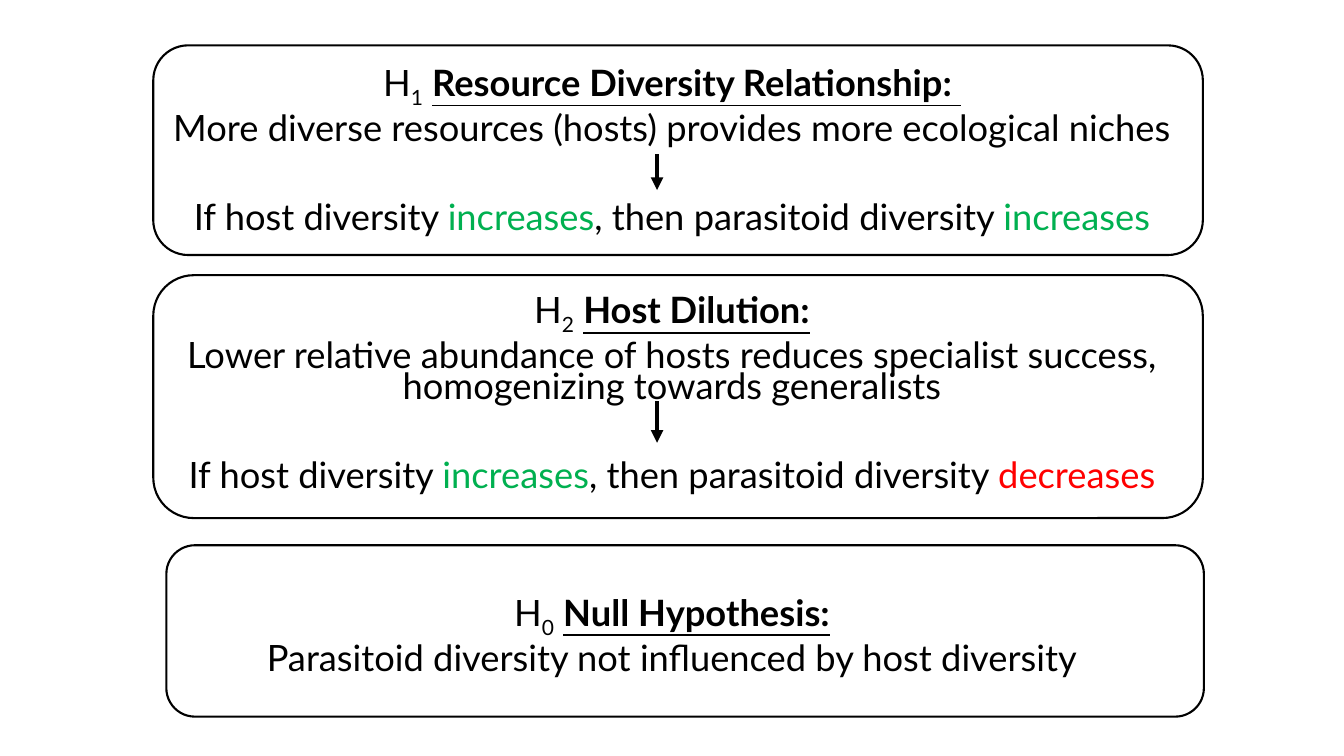
from dataclasses import dataclass

import pptx
import pptx.dml.color
import pptx.enum.shapes
import pptx.enum.text
import pptx.oxml
import pptx.oxml.ns
import pptx.util


@dataclass(frozen=True)
class Theme:
    """Colours, font and type sizes of the slide."""
    black: str = "000000"
    green: str = "00B050"
    red: str = "FF0000"
    font: str = "Lato"
    size: float = 25.9
    line_spacing: float = 0.7
    space_before: float = 10
    gap: float = 32
    outline: float = 1.5
    arrow: float = 3


THEME = Theme()
SLIDE_SIZE = (13.33, 7.5)
BODY_BOX = (0.76, 0.63, 11.81, 6.34)
ARROW_X, ARROW_START, ARROW_END = 0.48, 0.52, 0.69

HYPOTHESES = [
    {
        "box": (1.52, 0.45, 10.41, 2.08),
        "gaps": 0,
        "number": "1",
        "name": "Resource Diversity Relationship: ",
        "reason": "More diverse resources (hosts) provides more ecological niches",
        "outcome": ("increases", THEME.green),
    },
    {
        "box": (1.52, 2.73, 10.41, 2.41),
        "gaps": 1,
        "number": "2",
        "name": "Host Dilution:",
        "reason": "Lower relative abundance of hosts reduces specialist success, "
                  "homogenizing towards generalists",
        "outcome": ("decreases", THEME.red),
    },
    {
        "box": (1.65, 5.41, 10.29, 1.7),
        "gaps": 2,
        "number": "0",
        "name": "Null Hypothesis:",
        "reason": "Parasitoid diversity not influenced by host diversity",
        "outcome": None,
    },
]


def inches(values):
    """Turn numbers into lengths in inches."""
    return [pptx.util.Inches(value) for value in values]


def rgb(colour):
    """Turn a hexadecimal string into a colour."""
    return pptx.dml.color.RGBColor.from_string(colour)


def add_element(parent, tag, **attributes):
    """Append a DrawingML element to a parent."""
    element = pptx.oxml.parse_xml(f"<a:{tag} {pptx.oxml.ns.nsdecls('a')}/>")
    for name, value in attributes.items():
        element.set(name, value)
    parent.append(element)


def add_run(paragraph, text, colour=THEME.black, heading=False, subscript=False):
    """Add one formatted run to a paragraph."""
    run = paragraph.add_run()
    run.text = text
    run.font.name = THEME.font
    run.font.size = pptx.util.Pt(THEME.size)
    run.font.color.rgb = rgb(colour)
    run.font.bold = heading
    run.font.underline = heading
    if subscript:
        run._r.get_or_add_rPr().set("baseline", "-25000")


def add_paragraph(frame, gaps=0):
    """Add a centred paragraph without bullet after a number of line gaps."""
    first = frame.paragraphs[0]
    paragraph = frame.add_paragraph() if first.runs else first
    paragraph.alignment = pptx.enum.text.PP_ALIGN.CENTER
    paragraph.line_spacing = THEME.line_spacing
    paragraph.space_before = pptx.util.Pt(THEME.space_before + gaps * THEME.gap)
    properties = paragraph._p.get_or_add_pPr()
    properties.set("marL", "0")
    properties.set("indent", "0")
    add_element(properties, "buNone")
    return paragraph


def write_hypothesis(frame, hypothesis):
    """Write the heading, reason and prediction of one hypothesis."""
    heading = add_paragraph(frame, hypothesis["gaps"])
    add_run(heading, "H")
    add_run(heading, hypothesis["number"], subscript=True)
    add_run(heading, " ")
    add_run(heading, hypothesis["name"], heading=True)
    add_run(add_paragraph(frame), hypothesis["reason"])
    if hypothesis["outcome"]:
        prediction = add_paragraph(frame, 1)
        add_run(prediction, "If host diversity ")
        add_run(prediction, "increases", THEME.green)
        add_run(prediction, ", then parasitoid diversity ")
        add_run(prediction, *hypothesis["outcome"])


def add_arrow(slide, box):
    """Draw the downward arrow inside a hypothesis box."""
    left, top, width, height = box
    x = left + ARROW_X * width
    ends = inches((x, top + ARROW_START * height, x, top + ARROW_END * height))
    arrow = slide.shapes.add_connector(
        pptx.enum.shapes.MSO_CONNECTOR.STRAIGHT, *ends)
    arrow.line.color.rgb = rgb(THEME.black)
    arrow.line.width = pptx.util.Pt(THEME.arrow)
    add_element(arrow.line._get_or_add_ln(), "tailEnd", type="triangle")
    add_element(arrow._element.spPr, "effectLst")


def add_panel(slide, box):
    """Draw the rounded outline around a hypothesis."""
    panel = slide.shapes.add_shape(
        pptx.enum.shapes.MSO_SHAPE.ROUNDED_RECTANGLE, *inches(box))
    panel.shadow.inherit = False
    panel.fill.background()
    panel.line.color.rgb = rgb(THEME.black)
    panel.line.width = pptx.util.Pt(THEME.outline)


def build_hypotheses_slide(presentation):
    """Build the slide with three framed hypotheses."""
    slide = presentation.slides.add_slide(presentation.slide_layouts[1])
    title = slide.shapes.title._element
    title.getparent().remove(title)
    body = slide.placeholders[1]
    body.left, body.top, body.width, body.height = inches(BODY_BOX)
    frame = body.text_frame
    frame.word_wrap = True
    frame.auto_size = pptx.enum.text.MSO_AUTO_SIZE.NONE
    frame.vertical_anchor = pptx.enum.text.MSO_ANCHOR.TOP
    for hypothesis in HYPOTHESES:
        write_hypothesis(frame, hypothesis)
        if hypothesis["outcome"]:
            add_arrow(slide, hypothesis["box"])
        add_panel(slide, hypothesis["box"])


def main():
    """Create and save the presentation."""
    presentation = pptx.Presentation()
    presentation.slide_width, presentation.slide_height = inches(SLIDE_SIZE)
    build_hypotheses_slide(presentation)
    presentation.save("out.pptx")


if __name__ == "__main__":
    main()
